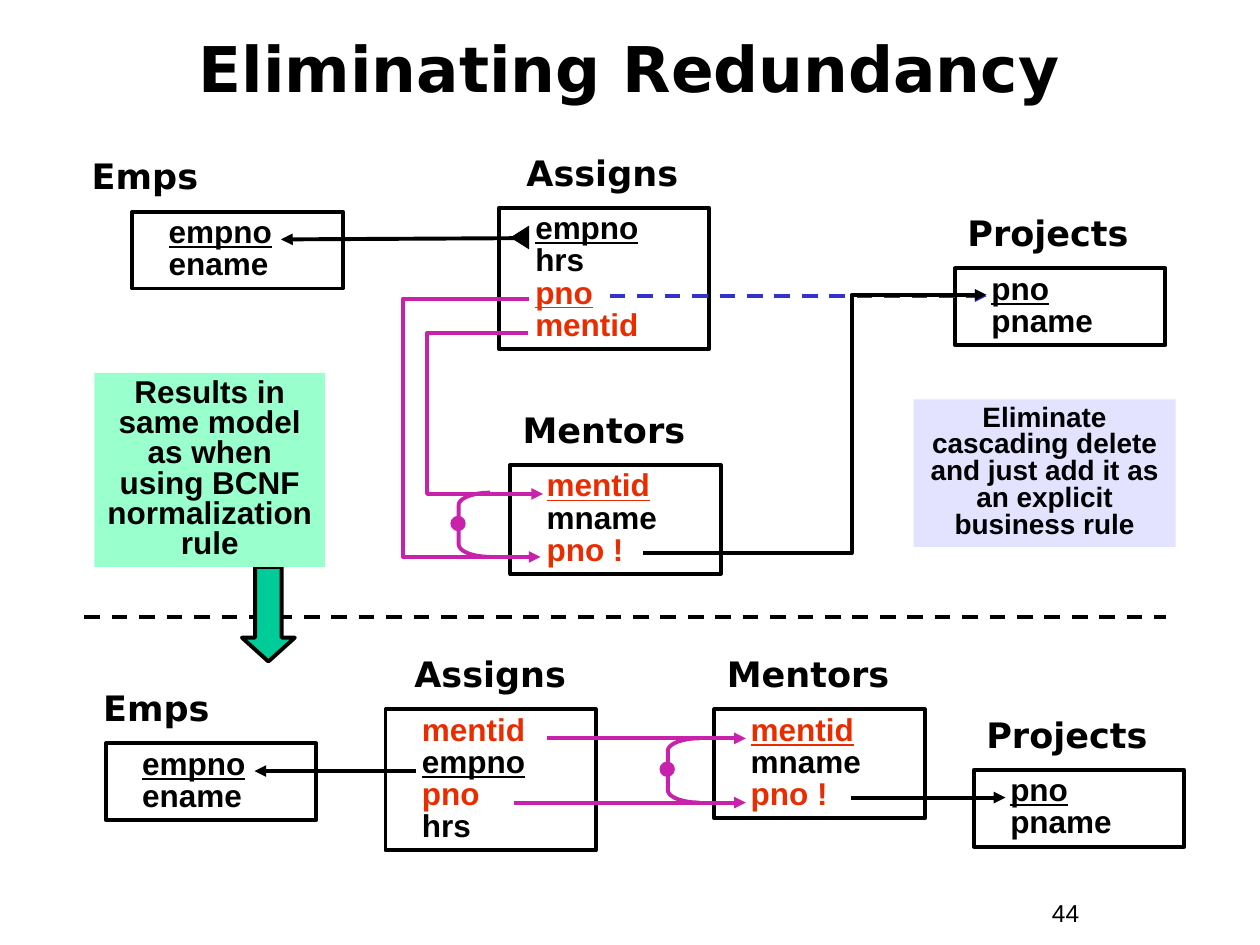
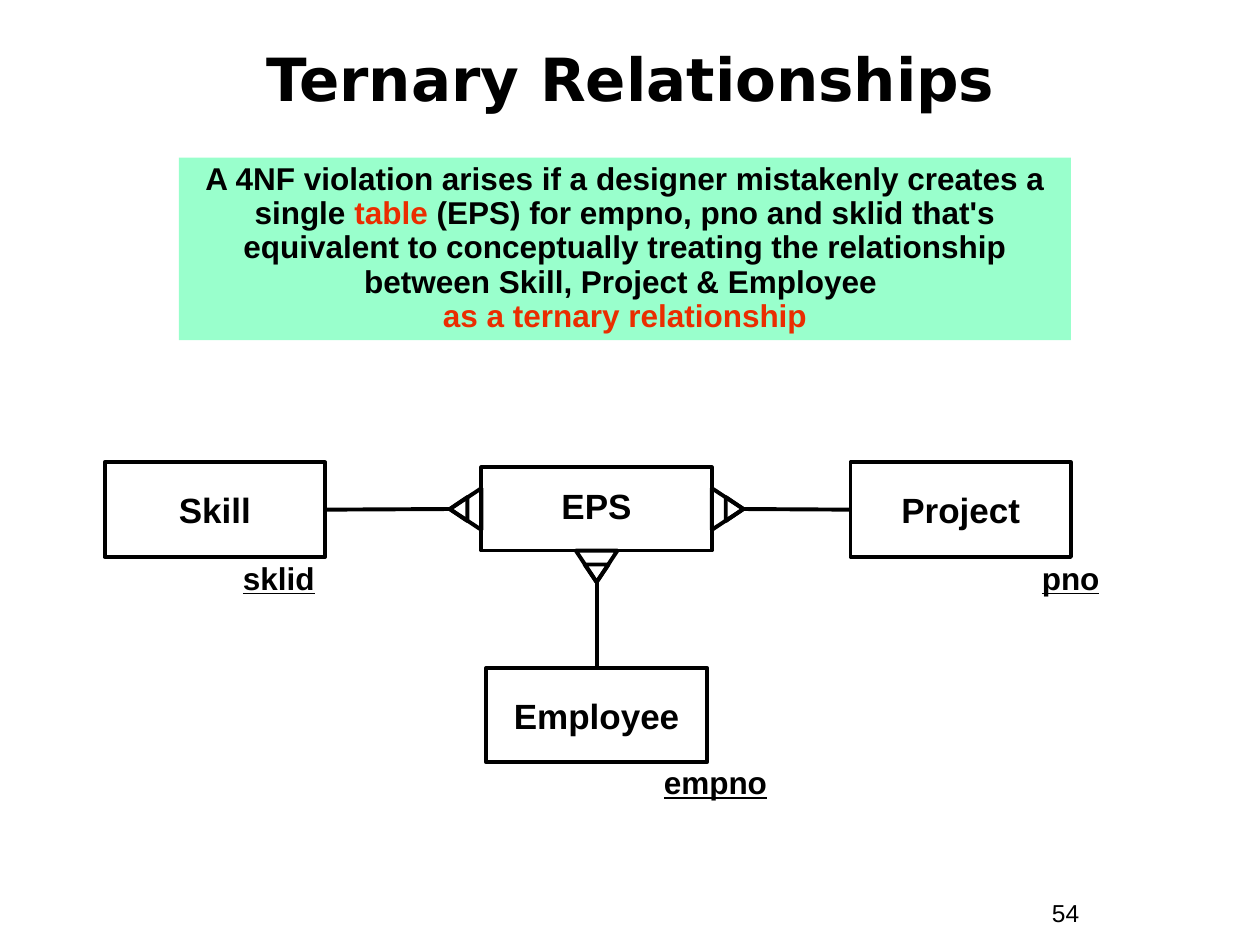
from math import cos, pi, sin

from lxml import etree
from pptx import Presentation
from pptx import util as u
from pptx.dml.color import RGBColor
from pptx.enum import dml, shapes, text
from pptx.oxml.ns import qn

BLACK, RED, PINK, BLUE = "000000", "EA2D00", "C822AC", "3333CC"
MINT, LILAC, GREEN = "99FFCC", "E3E3FF", "00CC99"
SANS, HEAD = "Arial", "DejaVu Sans"
KIND = shapes.MSO_SHAPE
MID, LEFT = text.PP_ALIGN.CENTER, text.PP_ALIGN.LEFT

TABLES = [
    ("Emps", 0.63, 1.05, 1.68, [("empno", "u"), ("ename", "")]),
    ("Assigns", 4.08, 3.96, 1.65,
     [("empno", "u"), ("hrs", ""), ("pno", "ur"), ("mentid", "r")]),
    ("Projects", 7.58, 7.58, 2.13, [("pno", "u"), ("pname", "")]),
    ("Mentors", 4.05, 4.05, 3.69,
     [("mentid", "ur"), ("mname", ""), ("pno !", "r")]),
    ("Emps", 0.72, 0.84, 5.9, [("empno", "u"), ("ename", "")]),
    ("Assigns", 3.19, 3.06, 5.63,
     [("mentid", "r"), ("empno", "u"), ("pno", "r"), ("hrs", "")]),
    ("Mentors", 5.67, 5.67, 5.63,
     [("mentid", "ur"), ("mname", ""), ("pno !", "r")]),
    ("Projects", 7.73, 7.73, 6.11, [("pno", "u"), ("pname", "")]),
]
LINKS = [
    ((4.84, 2.35), (7.83, 2.35), BLUE, True, True),
    ((4.19, 1.89), (2.23, 1.9), BLACK, True, False),
    ((4.34, 5.86), (5.92, 5.86), PINK, True, False),
    ((4.08, 6.37), (5.92, 6.37), PINK, True, False),
    ((6.75, 6.33), (7.98, 6.33), BLACK, True, False),
    ((3.3, 6.12), (2.02, 6.12), BLACK, True, False),
    ((0.67, 4.9), (9.25, 4.9), BLACK, False, True),
]
BENDS = [
    ((4.19, 2.64), (4.31, 3.92), 3.39, PINK),
    ((4.2, 2.37), (4.29, 4.42), 3.2, PINK),
    ((5.1, 4.39), (7.83, 2.34), 6.76, BLACK),
]
BRACES = [(3.64, 3.91), (5.3, 5.86)]
NOTES = [
    ((0.75, 2.96, 1.83, 1.54), MINT, 18,
     "Results in same model as when using BCNF normalization rule"),
    ((7.25, 3.17, 2.08, 1.17), LILAC, 16,
     "Eliminate cascading delete and just add it as an explicit business rule"),
]
CLAIM = [
    [("A 4NF violation arises if a designer mistakenly creates a single ", ""),
     ("table", "r"),
     (" (EPS) for empno, pno and sklid that's equivalent to conceptually "
      "treating the relationship between Skill, Project & Employee ", "")],
    [("as a ternary relationship", "r")],
]
HUB = ("EPS", (3.82, 3.71, 1.83, 0.66))
ENDS = [
    ("Skill", (0.83, 3.67), 3, "sklid", (1.83, 4.43), (-1, 0)),
    ("Project", (6.75, 3.67), 1, "pno", (8.17, 4.43), (1, 0)),
    ("Employee", (3.86, 5.3), 0, "empno", (5.17, 6.05), (0, 1)),
]
TURN = {(-1, 0): 270, (1, 0): 90, (0, 1): 180}


def ink(code):
    return RGBColor.from_string(code)


def inch(*vals):
    return [u.Inches(v) for v in vals]


def write(frame, paras, size=18, font=SANS, bold=True, space=None,
          align=LEFT, inset=0):
    frame.word_wrap = True
    for i, runs in enumerate(paras):
        para = frame.paragraphs[0] if i == 0 else frame.add_paragraph()
        para.alignment = align
        if space:
            para.line_spacing = space
        if inset:
            para._p.get_or_add_pPr().set("marL", str(u.Inches(inset)))
        for words, marks in runs:
            run = para.add_run()
            run.text = words
            run.font.name, run.font.size = font, u.Pt(size)
            run.font.bold, run.font.underline = bold, "u" in marks
            run.font.color.rgb = ink(RED if "r" in marks else BLACK)


def label(slide, place, words, marks="", **look):
    box = slide.shapes.add_textbox(*inch(*place))
    write(box.text_frame, [[(words, marks)]], **look)


def paint(item, fill=None, line=None):
    item.shadow.inherit = False
    if fill:
        item.fill.solid()
        item.fill.fore_color.rgb = ink(fill)
    else:
        item.fill.background()
    if line:
        item.line.color.rgb = ink(line)
        item.line.width = u.Pt(2.25)
    else:
        item.line.fill.background()


def shape(home, kind, place, fill=None, line=None, turn=0):
    item = home.shapes.add_shape(kind, *inch(*place))
    item.rotation = turn
    paint(item, fill, line)
    return item


def box(slide, place, paras, fill=None, line=None, anchor="TOP", **look):
    item = shape(slide, KIND.RECTANGLE, place, fill, line)
    item.text_frame.vertical_anchor = text.MSO_ANCHOR[anchor]
    write(item.text_frame, paras, **look)
    return item


def link(slide, start, stop, color=BLACK, arrow=False, dash=False, bend=None):
    kind = shapes.MSO_CONNECTOR.STRAIGHT if bend is None else shapes.MSO_CONNECTOR.ELBOW
    wire = slide.shapes.add_connector(kind, *inch(*start, *stop))
    wire.line.color.rgb = ink(color)
    wire.line.width = u.Pt(2.25)
    if dash:
        wire.line.dash_style = dml.MSO_LINE.DASH
    props = wire._element.spPr
    if arrow:
        etree.SubElement(props.find(qn("a:ln")), qn("a:tailEnd"), type="triangle")
    if bend is not None:
        part = round((bend - start[0]) / (stop[0] - start[0]) * 100000)
        guides = props.find(qn("a:prstGeom")).find(qn("a:avLst"))
        etree.SubElement(guides, qn("a:gd"), name="adj1", fmla=f"val {part}")
    etree.SubElement(props, qn("a:effectLst"))
    return wire


def brace(slide, x, y, wide=0.25, tall=0.51, curl=0.1):
    steps = [i * pi / 24 for i in range(13)]
    top = [(x + wide * (1 - sin(a)), y + curl * (1 - cos(a))) for a in steps]
    low = [(px, 2 * y + tall - py) for px, py in reversed(top)]
    dots = [inch(*dot) for dot in top + low]
    pen = slide.shapes.build_freeform(*dots[0])
    pen.add_line_segments(dots[1:], close=False)
    paint(pen.convert_to_shape(), line=PINK)
    shape(slide, KIND.OVAL, (x - 0.05, y + 0.2, 0.09, 0.09), PINK, PINK)


def foot(slide, aim):
    x, y, w, h = HUB[1]
    dx, dy = aim
    group = slide.shapes.add_group_shape()
    for wide, tall, out in ((0.33, 0.25, 0.125), (0.19, 0.14, 0.18)):
        cx = x + w / 2 + dx * (w / 2 + out)
        cy = y + h / 2 + dy * (h / 2 + out)
        place = (cx - wide / 2, cy - tall / 2, wide, tall)
        shape(group, KIND.ISOSCELES_TRIANGLE, place, line=BLACK, turn=TURN[aim])
    return x + w / 2 + dx * (w / 2 + 0.25), y + h / 2 + dy * (h / 2 + 0.25)


def start(deck, name, place, size, number):
    slide = deck.slides.add_slide(deck.slide_layouts[5])
    title = slide.shapes.title
    title.left, title.top, title.width, title.height = inch(*place)
    title.text_frame.vertical_anchor = text.MSO_ANCHOR.MIDDLE
    write(title.text_frame, [[(name, "")]], size, HEAD, space=0.85, align=MID)
    label(slide, (8.25, 7.08, 0.92, 0.34), number, size=14, bold=False)
    return slide


def redundancy(deck):
    slide = start(deck, "Eliminating Redundancy", (0.33, 0.12, 9.33, 0.92), 36, "44")
    for name, lx, x, y, fields in TABLES:
        label(slide, (lx, y - 0.5, 1.67, 0.44), name, size=20, font=HEAD)
        box(slide, (x, y, 1.67, 0.1 + 0.255 * len(fields)),
            [[field] for field in fields], line=BLACK, space=0.85, inset=0.19)
    for row in LINKS:
        link(slide, *row)
    for a, b, bend, color in BENDS:
        link(slide, a, b, color, arrow=True, bend=bend)
    for x, y in BRACES:
        brace(slide, x, y)
    shape(slide, KIND.ISOSCELES_TRIANGLE, (4.03, 1.81, 0.19, 0.15), BLACK, turn=270)
    down = shape(slide, KIND.DOWN_ARROW, (1.92, 4.5, 0.42, 0.75), GREEN, BLACK)
    down.adjustments[1] = 0.45
    for place, fill, size, words in NOTES:
        box(slide, place, [[(words, "")]], fill, size=size, space=0.8, align=MID)


def ternary(deck):
    slide = start(deck, "Ternary Relationships", (0.17, 0.33, 9.67, 0.67), 34, "54")
    box(slide, (1.42, 1.25, 7.08, 1.45), CLAIM, MINT, space=0.9, align=MID)
    node = dict(line=BLACK, anchor="MIDDLE", size=20, align=MID)
    box(slide, HUB[1], [[(HUB[0], "")]], space=0.85, **node)
    for name, spot, side, key, at, aim in ENDS:
        item = box(slide, (*spot, 1.75, 0.75), [[(name, "")]], **node)
        tip = foot(slide, aim)
        link(slide, tip, tip).begin_connect(item, side)
        label(slide, (*at, 1.25, 0.36), key, "u", space=0.85)


def main():
    deck = Presentation()
    deck.slide_width, deck.slide_height = inch(10, 7.5)
    redundancy(deck)
    ternary(deck)
    deck.save("out.pptx")


if __name__ == "__main__":
    main()
